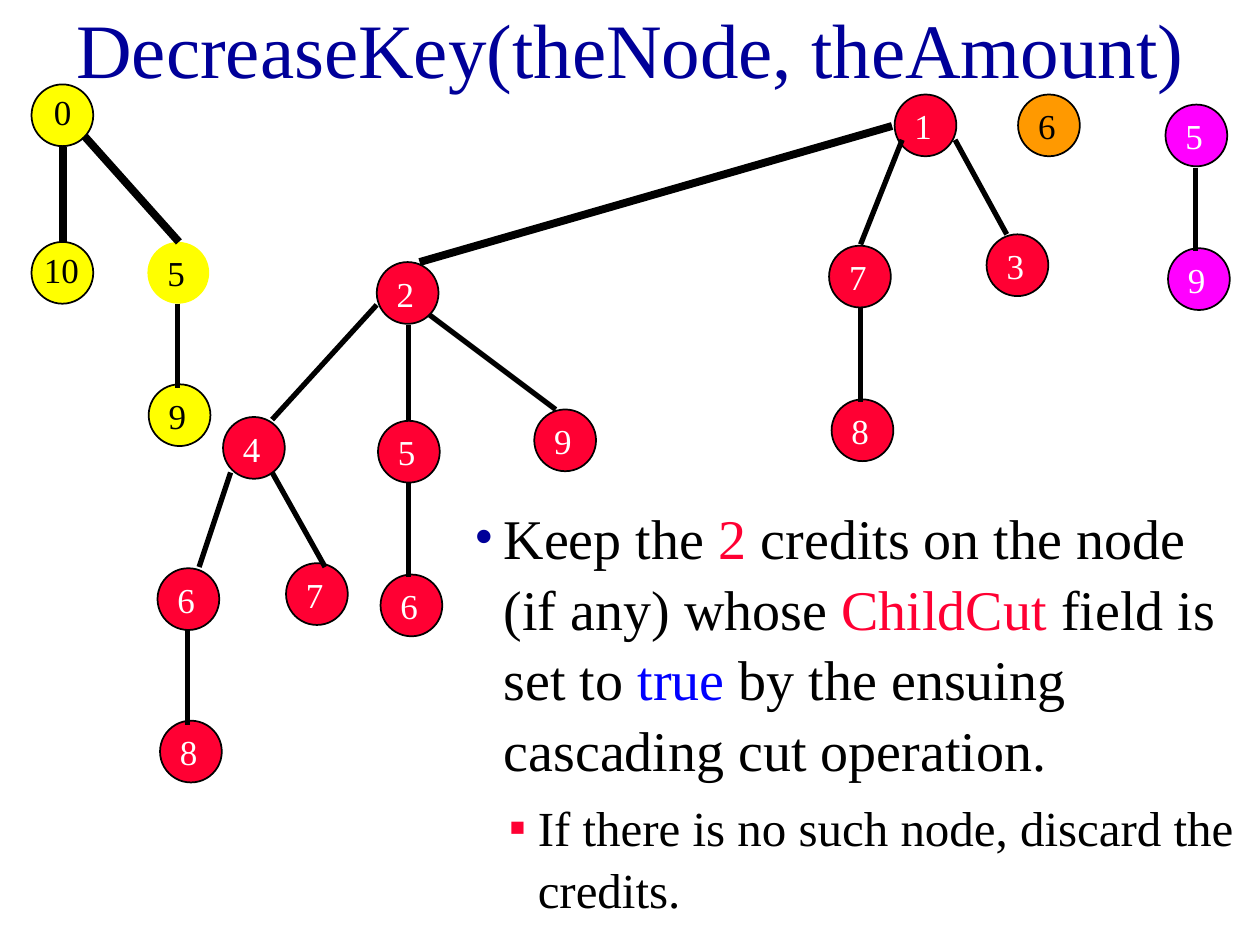
from dataclasses import dataclass

from lxml import etree
from pptx import Presentation
from pptx.dml.color import RGBColor
from pptx.enum.shapes import MSO_CONNECTOR, MSO_SHAPE
from pptx.enum.text import MSO_ANCHOR, MSO_AUTO_SIZE, PP_ALIGN
from pptx.oxml.ns import qn
from pptx.util import Cm, Pt

ELLIPSE, RECTANGLE = MSO_SHAPE.OVAL, MSO_SHAPE.RECTANGLE
STRAIGHT = MSO_CONNECTOR.STRAIGHT
TOP, MIDDLE = MSO_ANCHOR.TOP, MSO_ANCHOR.MIDDLE
LEFT, CENTER = PP_ALIGN.LEFT, PP_ALIGN.CENTER
NO_FIT = MSO_AUTO_SIZE.NONE

FONT = "Times New Roman"
BLACK, WHITE, NAVY, BLUE = "000000", "FFFFFF", "000099", "0000FF"
YELLOW, RED, ORANGE, MAGENTA = "FFFF00", "FF0033", "FF9900", "FF00FF"
DIAMETER = 0.49
LABEL_HEIGHT = 0.43


@dataclass
class Node:
    label: str
    x: float
    y: float
    label_dx: float = 0.06
    label_dy: float = 0.03
    label_width: float = 0.34
    outlined: bool = True


@dataclass
class Edge:
    x1: float
    y1: float
    x2: float
    y2: float
    width: float = 3


@dataclass
class Heap:
    fill: str
    text_color: str
    nodes: list[Node]
    edges: list[Edge]


@dataclass
class Bullet:
    character: str
    color: str
    margin: float
    size: int
    space_before: int
    runs: list[tuple[str, str]]


HEAPS = [
    Heap(YELLOW, BLACK,
         [Node("10", 0.25, 1.92, 0, 0, 0.48), Node("0", 0.25, 0.67, 0.08, 0),
          Node("5", 1.17, 1.92, outlined=False), Node("9", 1.18, 3.05)],
         [Edge(1.41, 2.41, 1.41, 3.08), Edge(0.5, 1.17, 0.5, 1.92, 4.5),
          Edge(0.67, 1.08, 1.42, 1.92, 4.5)]),
    Heap(RED, WHITE,
         [Node("1", 7.1, 0.75), Node("7", 6.58, 1.95), Node("3", 7.83, 1.86),
          Node("8", 6.6, 3.17), Node("2", 2.99, 2.08), Node("5", 3, 3.34),
          Node("9", 4.24, 3.25), Node("6", 3.02, 4.56), Node("4", 1.77, 3.31),
          Node("6", 1.25, 4.51), Node("7", 2.27, 4.47), Node("8", 1.27, 5.72)],
         [Edge(6.83, 2.44, 6.83, 3.19), Edge(7.16, 1.11, 6.83, 1.94),
          Edge(7.58, 1.11, 7.99, 1.86), Edge(3.24, 3.83, 3.24, 4.58),
          Edge(3.24, 2.58, 3.24, 3.33), Edge(3.41, 2.5, 4.41, 3.25),
          Edge(1.49, 5, 1.49, 5.75), Edge(1.83, 3.75, 1.58, 4.5),
          Edge(2.16, 3.75, 2.58, 4.5), Edge(2.99, 2.42, 2.16, 3.33),
          Edge(7.08, 1, 3.33, 2.08, 4.5)]),
    Heap(ORANGE, BLACK, [Node("6", 8.08, 0.75)], []),
    Heap(MAGENTA, WHITE, [Node("5", 9.25, 0.83), Node("9", 9.27, 1.97)],
         [Edge(9.49, 1.33, 9.49, 1.99)]),
]

BULLETS = [
    Bullet("•", NAVY, 0.23, 32, 0, [
        ("Keep the ", BLACK), ("2", RED),
        (" credits on the node (if any) whose ", BLACK), ("ChildCut", RED),
        (" field is set to ", BLACK), ("true", BLUE),
        (" by the ensuing cascading cut operation.", BLACK)]),
    Bullet("▪", RED, 0.5, 28, 7,
           [("If there is no such node, discard the credits.", BLACK)]),
]


def rgb(color: str) -> RGBColor:
    return RGBColor.from_string(color)


def lengths(*inches: float) -> list[Cm]:
    return [Cm(value * 2.54) for value in inches]


def set_attributes(target, values: dict) -> None:
    for name, value in values.items():
        setattr(target, name, value)


def format_frame(frame, wrap: bool, anchor) -> None:
    side, edge = lengths(0.1, 0.05)
    set_attributes(frame, {
        "auto_size": NO_FIT, "word_wrap": wrap, "vertical_anchor": anchor,
        "margin_left": side, "margin_right": side,
        "margin_top": edge, "margin_bottom": edge})


def add_run(paragraph, text: str, size: float, color: str) -> None:
    run = paragraph.add_run()
    run.text = text
    set_attributes(run.font, {"name": FONT, "size": Pt(size), "bold": False})
    run.font.color.rgb = rgb(color)


def add_title(slide, text: str) -> None:
    title = slide.shapes.title
    left, top, width, height = lengths(0.17, 0, 9.67, 0.75)
    set_attributes(title, {"left": left, "top": top, "width": width, "height": height})
    format_frame(title.text_frame, True, MIDDLE)
    paragraph = title.text_frame.paragraphs[0]
    paragraph.alignment = CENTER
    add_run(paragraph, text, 44, NAVY)


def add_node(slide, node: Node, heap: Heap) -> None:
    circle = slide.shapes.add_shape(
        ELLIPSE, *lengths(node.x, node.y, DIAMETER, DIAMETER))
    circle.shadow.inherit = False
    circle.fill.solid()
    circle.fill.fore_color.rgb = rgb(heap.fill)
    if node.outlined:
        circle.line.color.rgb = rgb(BLACK)
        circle.line.width = Pt(1)
    else:
        circle.line.fill.background()
    label = slide.shapes.add_textbox(*lengths(
        node.x + node.label_dx, node.y + node.label_dy, node.label_width, LABEL_HEIGHT))
    format_frame(label.text_frame, False, TOP)
    add_run(label.text_frame.paragraphs[0], node.label, 20, heap.text_color)


def add_edge(slide, edge: Edge) -> None:
    connector = slide.shapes.add_connector(
        STRAIGHT, *lengths(edge.x1, edge.y1, edge.x2, edge.y2))
    connector.line.color.rgb = rgb(BLACK)
    connector.line.width = Pt(edge.width)
    etree.SubElement(connector._element.spPr, qn("a:effectLst"))


def add_bullet(paragraph, bullet: Bullet) -> None:
    properties = paragraph._p.get_or_add_pPr()
    margin, indent = lengths(bullet.margin, -0.23)
    properties.set("marL", str(margin))
    properties.set("indent", str(indent))
    color = etree.SubElement(properties, qn("a:buClr"))
    etree.SubElement(color, qn("a:srgbClr"), val=bullet.color)
    etree.SubElement(properties, qn("a:buFont"), typeface=FONT)
    etree.SubElement(properties, qn("a:buChar"), char=bullet.character)
    set_attributes(paragraph, {
        "alignment": LEFT, "line_spacing": 1.05,
        "space_before": Pt(bullet.space_before)})
    for text, text_color in bullet.runs:
        add_run(paragraph, text, bullet.size, text_color)


def add_explanation(slide) -> None:
    box = slide.shapes.add_shape(RECTANGLE, *lengths(3.67, 3.92, 6.33, 3.58))
    box.shadow.inherit = False
    box.fill.solid()
    box.fill.fore_color.rgb = rgb(WHITE)
    box.line.fill.background()
    frame = box.text_frame
    format_frame(frame, True, TOP)
    for index, bullet in enumerate(BULLETS):
        paragraph = frame.add_paragraph() if index else frame.paragraphs[0]
        paragraph.level = index
        add_bullet(paragraph, bullet)


def main() -> None:
    presentation = Presentation()
    presentation.slide_width, presentation.slide_height = lengths(10, 7.5)
    slide = presentation.slides.add_slide(presentation.slide_layouts[5])
    add_title(slide, "DecreaseKey(theNode, theAmount)")

    # Heap trees: nodes first, edges on top
    for heap in HEAPS:
        for node in heap.nodes:
            add_node(slide, node, heap)
        for edge in heap.edges:
            add_edge(slide, edge)

    # Explanation beside the trees
    add_explanation(slide)
    presentation.save("out.pptx")


if __name__ == "__main__":
    main()
